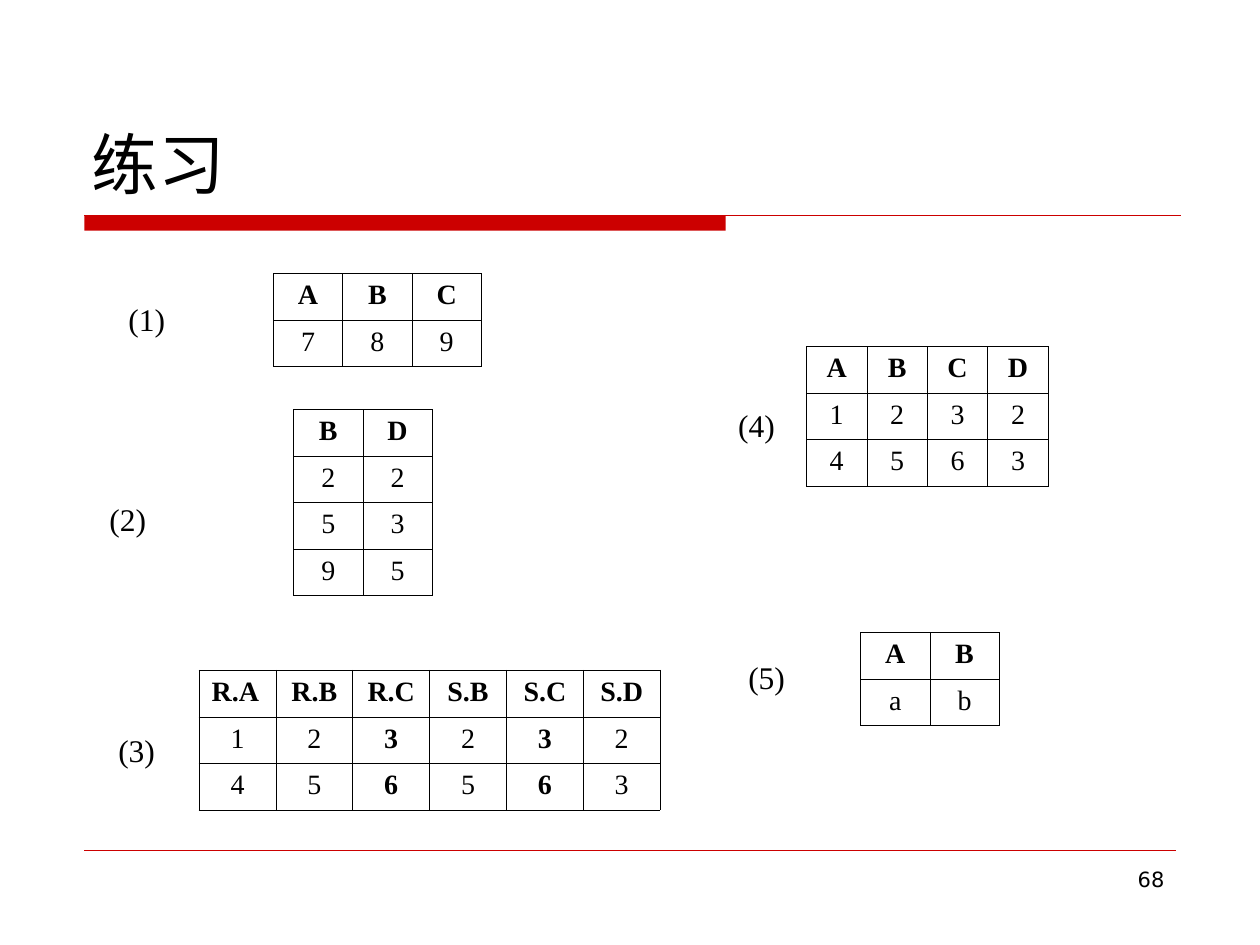
from lxml.etree import SubElement
from pptx import Presentation
from pptx.dml.color import RGBColor as RGB
from pptx.enum.shapes import MSO_CONNECTOR as LINK, MSO_SHAPE as SHAPE
from pptx.enum.text import MSO_ANCHOR as ANCHOR, PP_ALIGN as ALIGN
from pptx.oxml import parse_xml
from pptx.oxml.ns import nsdecls, qn
from pptx.util import Inches, Pt

COLORS = {"ink": "000000", "red": "CC0000"}
SERIF, SANS = "Times New Roman", "DejaVu Sans"
ROW = 0.37

deck = Presentation()
deck.slide_width, deck.slide_height = Inches(10), Inches(7.5)
slide = deck.slides.add_slide(deck.slide_layouts[6])
shapes = slide.shapes


def write(frame, text, align, **style):
    """Fill the first paragraph of a text frame and style its font."""
    para = frame.paragraphs[0]
    para.text, para.alignment = text, align
    para.font.color.rgb = RGB.from_string(COLORS["ink"])
    for key, value in style.items():
        setattr(para.font, key, value)


def border(cell):
    """Draw a thin line on all four sides of a table cell."""
    props = cell._tc.get_or_add_tcPr()
    for side in "LRTB":
        props.append(parse_xml(
            f'<a:ln{side} {nsdecls("a")} w="{Pt(0.45)}"><a:solidFill>'
            f'<a:srgbClr val="{COLORS["ink"]}"/></a:solidFill></a:ln{side}>'))


# Title bar and rules
bar = shapes.add_shape(SHAPE.RECTANGLE, Inches(0.67), Inches(1.71),
                       Inches(5.09), Inches(0.12))
bar.shadow.inherit = False
bar.fill.solid()
bar.fill.fore_color.rgb = RGB.from_string(COLORS["red"])
bar.line.fill.background()

for y, end, width in [(1.71, 9.37, 0.75), (6.75, 9.33, 0.25)]:
    rule = shapes.add_connector(LINK.STRAIGHT, Inches(0.67), Inches(y),
                                Inches(end), Inches(y))
    rule.line.color.rgb = RGB.from_string(COLORS["red"])
    rule.line.width = Pt(width)
    SubElement(rule._element.spPr, qn("a:effectLst"))

# Answer tables: left, top, column width, rows of cells
tables = [
    (2.17, 2.17, 0.55, ["A B C", "7 8 9"]),
    (2.33, 3.25, 0.55, ["B D", "2 2", "5 3", "9 5"]),
    (1.58, 5.32, 0.61, ["R.A R.B R.C S.B S.C S.D", "1 2 3 2 3 2", "4 5 6 5 6 3"]),
    (6.4, 2.75, 0.48, ["A B C D", "1 2 3 2", "4 5 6 3"]),
    (6.83, 5.02, 0.55, ["A B", "a b"]),
]
for left, top, width, lines in tables:
    rows = [line.split() for line in lines]
    head = rows[0]
    grid = shapes.add_table(len(rows), len(head), Inches(left), Inches(top),
                            Inches(width * len(head)),
                            Inches(ROW * len(rows))).table
    grid.first_row = grid.horz_banding = False
    for col in grid.columns:
        col.width = Inches(width)
    for r, row in enumerate(rows):
        grid.rows[r].height = Inches(ROW)
        for c, text in enumerate(row):
            cell = grid.cell(r, c)
            border(cell)
            cell.fill.background()
            align = ALIGN.LEFT if text == "R.A" else ALIGN.CENTER
            bold = r == 0 or head[c] in ("R.C", "S.C")
            write(cell.text_frame, text, align, name=SERIF, size=Pt(16), bold=bold)

# Question numbers
marks = [(0.92, 2.33), (0.77, 3.92), (0.84, 5.75), (5.76, 3.17), (5.84, 5.17)]
for num, (left, top) in enumerate(marks, 1):
    box = shapes.add_textbox(Inches(left), Inches(top), Inches(0.49), Inches(0.4))
    box.text_frame.word_wrap = False
    box.text_frame.vertical_anchor = ANCHOR.MIDDLE
    write(box.text_frame, f"({num})", ALIGN.LEFT, name=SERIF, size=Pt(18))

# Title and page number
texts = [
    ("练习", 0.63, 0.33, 8.75, 1.33, ALIGN.LEFT, ANCHOR.BOTTOM, 38),
    ("68", 7.17, 6.83, 2.17, 0.52, ALIGN.RIGHT, ANCHOR.TOP, 12),
]
for text, left, top, width, height, align, anchor, size in texts:
    box = shapes.add_textbox(Inches(left), Inches(top), Inches(width), Inches(height))
    box.text_frame.word_wrap = True
    box.text_frame.vertical_anchor = anchor
    write(box.text_frame, text, align, name=SANS, size=Pt(size))

deck.save("out.pptx")
